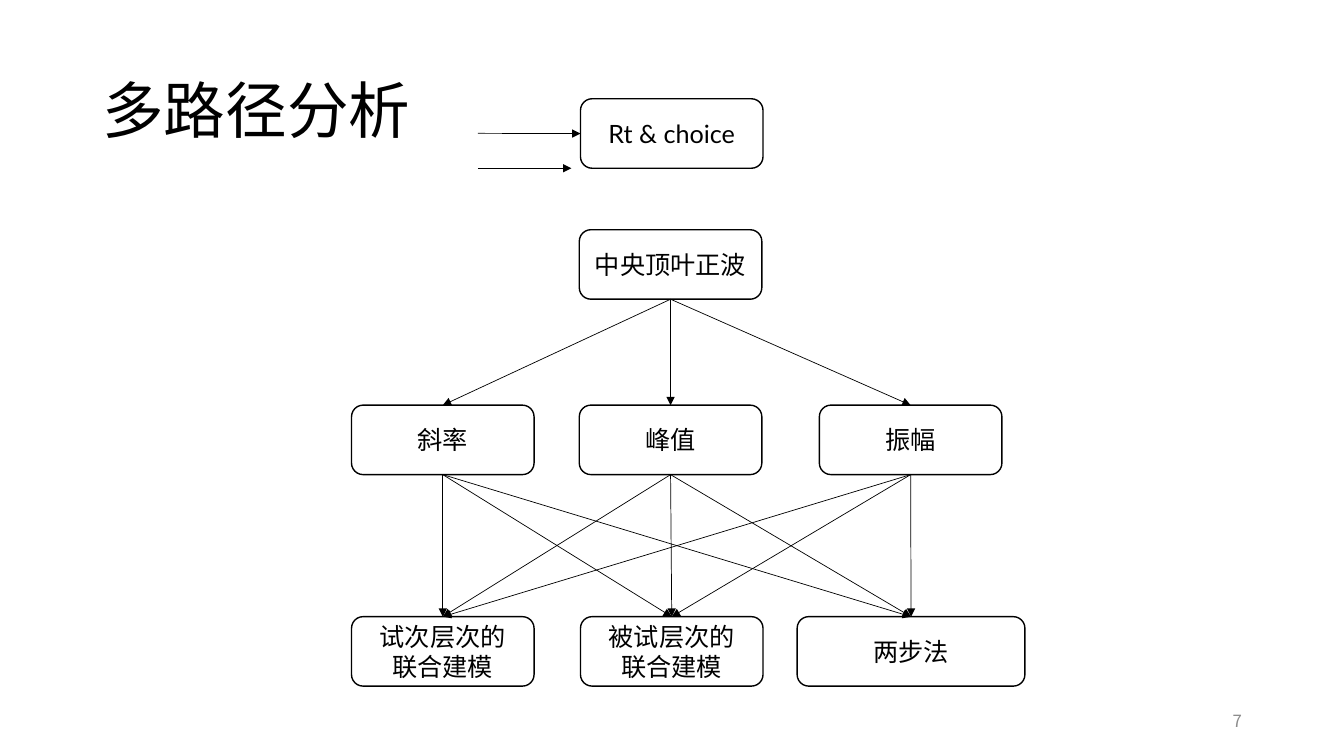
import itertools

import pptx
import pptx.dml.color
import pptx.enum.shapes
import pptx.enum.text
import pptx.oxml.ns
import pptx.util
from lxml import etree
from pptx.util import Cm

CJK = "Noto Sans CJK SC"
BLACK = "000000"
BOX_WIDTH = 4.6
BOX_HEIGHT = 1.75
TOP, LEFT, BOTTOM = 0, 1, 2


def color(value):
    """Turn a hex string into an RGB colour."""
    return pptx.dml.color.RGBColor.from_string(value)


def add_child(parent, tag, **attributes):
    """Append a DrawingML element to a parent element."""
    return etree.SubElement(parent, pptx.oxml.ns.qn(tag), attributes)


def write_text(shape, text, size=18, font=CJK, fill=BLACK, align="CENTER", spacing=1.0):
    """Fill a shape with one formatted paragraph per line of text."""
    frame = shape.text_frame
    frame.word_wrap = True
    frame.vertical_anchor = pptx.enum.text.MSO_ANCHOR.MIDDLE
    for index, line in enumerate(text.split("\n")):
        para = frame.add_paragraph() if index else frame.paragraphs[0]
        para.alignment = getattr(pptx.enum.text.PP_ALIGN, align)
        para.line_spacing = spacing
        span = para.add_run()
        span.text = line
        span.font.size = pptx.util.Pt(size)
        span.font.name = font
        span.font.color.rgb = color(fill)
        add_child(span.font._element, "a:ea", typeface=font)


def add_label(page, left, top, width, height, text, **style):
    """Add a text box."""
    box = page.shapes.add_textbox(Cm(left), Cm(top), Cm(width), Cm(height))
    write_text(box, text, **style)


def add_node(page, center, top, text, width=BOX_WIDTH, **style):
    """Add a rounded box centred on a column."""
    box = page.shapes.add_shape(
        pptx.enum.shapes.MSO_SHAPE.ROUNDED_RECTANGLE,
        Cm(center - width / 2), Cm(top), Cm(width), Cm(BOX_HEIGHT))
    box.shadow.inherit = False
    box.fill.solid()
    box.fill.fore_color.rgb = color("FFFFFF")
    box.line.color.rgb = color(BLACK)
    box.line.width = pptx.util.Pt(1)
    write_text(box, text, **style)
    return box


def add_arrow(page, start=(0, 0), end=(0, 0), source=None, target=None, site=TOP):
    """Add a thin arrow between points, glued to any boxes given."""
    arrow = page.shapes.add_connector(
        pptx.enum.shapes.MSO_CONNECTOR.STRAIGHT, *map(Cm, start + end))
    if source is not None:
        arrow.begin_connect(source, BOTTOM)
    if target is not None:
        arrow.end_connect(target, site)
    arrow.line.color.rgb = color(BLACK)
    arrow.line.width = pptx.util.Pt(0.5)
    add_child(arrow.line._get_or_add_ln(), "a:tailEnd", type="triangle")
    add_child(arrow._element.spPr, "a:effectLst")


def main():
    """Build the multi-path analysis slide."""
    deck = pptx.Presentation()
    deck.slide_width, deck.slide_height = Cm(33.87), Cm(19.05)
    page = deck.slides.add_slide(deck.slide_layouts[6])

    add_label(page, 2.33, 1.01, 29.21, 3.68, "多路径分析",
              size=44, align="LEFT", spacing=0.9)
    outcome = add_node(page, 16.93, 2.49, "Rt & choice", font="Lato")
    wave = add_node(page, 16.9, 5.79, "中央顶叶正波")
    features = [add_node(page, center, 10.21, text) for center, text in
                ((11.16, "斜率"), (16.9, "峰值"), (22.95, "振幅"))]
    methods = [add_node(page, center, 15.54, text, width=width)
               for center, text, width in (
                   (11.16, "试次层次的\n联合建模", BOX_WIDTH),
                   (16.93, "被试层次的\n联合建模", BOX_WIDTH),
                   (22.96, "两步法", 5.74))]

    links = itertools.chain(itertools.product([wave], features),
                            itertools.product(features, methods))
    for source, target in links:
        add_arrow(page, source=source, target=target)
    add_arrow(page, start=(12.04, 3.36), target=outcome, site=LEFT)
    add_arrow(page, start=(12.04, 4.24), end=(14.4, 4.24))

    add_label(page, 23.93, 17.65, 7.62, 1.02, "7", size=12, fill="8C8C8C", align="RIGHT")
    deck.save("out.pptx")


main()
